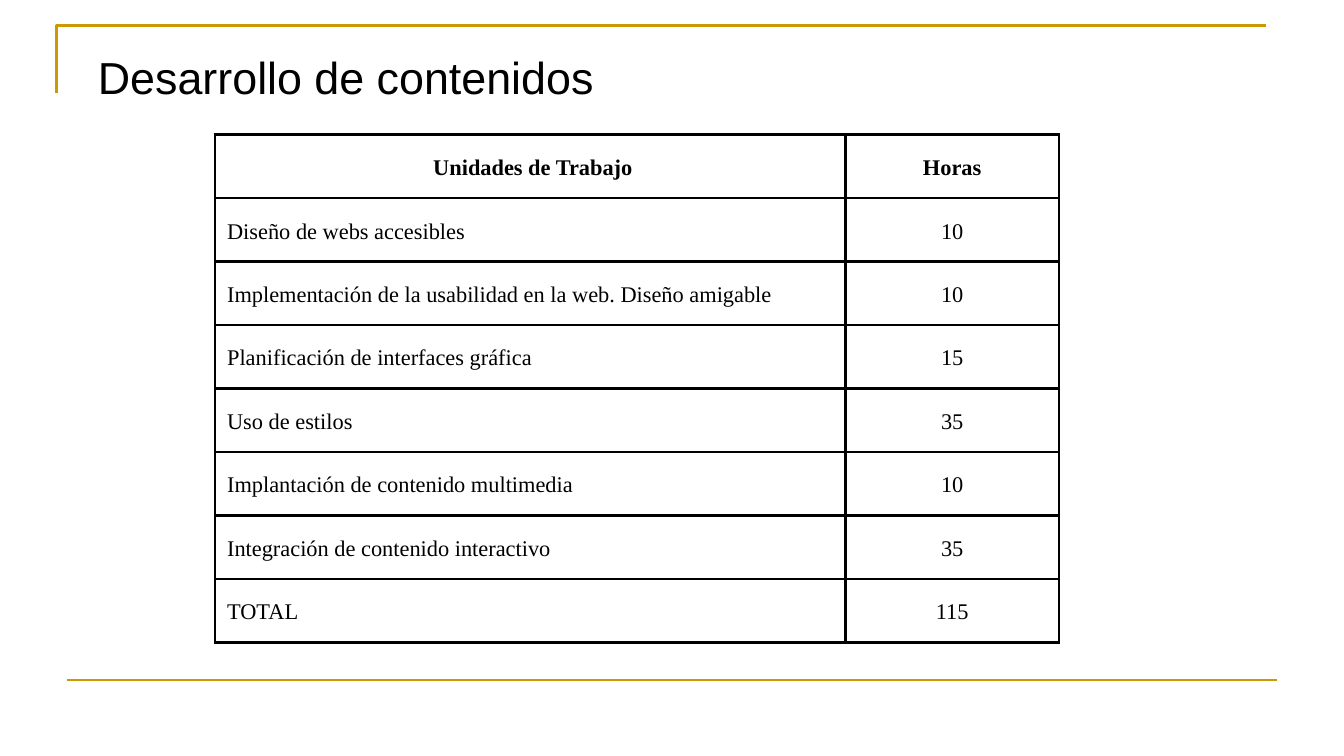
from lxml.etree import SubElement as Sub
from pptx import Presentation
from pptx.dml.color import RGBColor as Rgb
from pptx.enum.shapes import MSO_CONNECTOR as Conn
from pptx.enum.text import MSO_ANCHOR as Anchor, PP_ALIGN as Align
from pptx.oxml.ns import qn
from pptx.util import Inches, Pt

COLORS = {"gold": "CC9900", "ink": "000000"}
ROWS = [
    (" Unidades de Trabajo", "Horas"),
    ("Diseño de webs accesibles", "10"),
    ("Implementación de la usabilidad en la web. Diseño amigable", "10"),
    ("Planificación de interfaces gráfica", "15"),
    ("Uso de estilos", "35"),
    ("Implantación de contenido multimedia", "10"),
    ("Integración de contenido interactivo", "35"),
    ("TOTAL", "115"),
]
WIDTHS = (4.69, 1.59)
HEIGHT = 3.78 / len(ROWS)


def color(name):
    return Rgb.from_string(COLORS[name])


def style(para, font, size, bold=False):
    for run in para.runs:
        run.font.name = font
        run.font.size = Pt(size)
        run.font.bold = bold
        run.font.color.rgb = color("ink")


def stroke(shape):
    shape.line.color.rgb = color("gold")
    shape.line.width = Pt(1.5)


def add_frame(slide):
    pen = slide.shapes.build_freeform(Inches(0.42), Inches(0.69))
    corner = [(Inches(0.42), Inches(0.19)), (Inches(9.42), Inches(0.19))]
    pen.add_line_segments(corner, close=False)
    frame = pen.convert_to_shape()
    frame.shadow.inherit = False
    frame.fill.background()
    stroke(frame)


def add_rule(slide):
    rule = slide.shapes.add_connector(
        Conn.STRAIGHT, Inches(0.5), Inches(5.06), Inches(9.5), Inches(5.06))
    stroke(rule)
    Sub(rule._element.spPr, qn("a:effectLst"))


def add_title(slide, text):
    box = slide.shapes.add_textbox(
        Inches(0.63), Inches(0.27), Inches(5.61), Inches(0.65))
    frame = box.text_frame
    frame.word_wrap = True
    frame.vertical_anchor = Anchor.TOP
    frame.margin_left = frame.margin_right = Inches(0.1)
    frame.margin_top = frame.margin_bottom = Inches(0.1)
    frame.text = text
    style(frame.paragraphs[0], "Arial", 24)


def add_edges(cell):
    props = cell._tc.get_or_add_tcPr()
    for side in ("lnL", "lnR", "lnT", "lnB"):
        edge = Sub(props, qn(f"a:{side}"), w=str(Pt(1.5)))
        fill = Sub(edge, qn("a:solidFill"))
        Sub(fill, qn("a:srgbClr"), val=COLORS["ink"])


def fill_cell(cell, text, center, bold):
    add_edges(cell)
    cell.fill.background()
    cell.margin_left = cell.margin_right = Inches(0.09)
    cell.margin_top = Inches(0.13)
    cell.margin_bottom = Inches(0.11)
    cell.text_frame.text = text
    para = cell.text_frame.paragraphs[0]
    para.alignment = Align.CENTER if center else Align.LEFT
    para.line_spacing = 1.15
    style(para, "Times New Roman", 12, bold)


def add_grid(slide):
    grid = slide.shapes.add_table(
        len(ROWS), len(WIDTHS), Inches(1.6), Inches(1),
        Inches(sum(WIDTHS)), Inches(HEIGHT * len(ROWS))).table
    grid.first_row = grid.horz_banding = False
    for col, width in zip(grid.columns, WIDTHS):
        col.width = Inches(width)
    for r, row in enumerate(ROWS):
        grid.rows[r].height = Inches(HEIGHT)
        for c, text in enumerate(row):
            head = r == 0
            fill_cell(grid.cell(r, c), text, head or c == 1, head)


def main():
    deck = Presentation()
    deck.slide_width = Inches(10)
    deck.slide_height = Inches(10 * 9 / 16)
    slide = deck.slides.add_slide(deck.slide_layouts[6])
    add_frame(slide)
    add_rule(slide)
    add_title(slide, "Desarrollo de contenidos")
    add_grid(slide)
    deck.save("out.pptx")


main()
